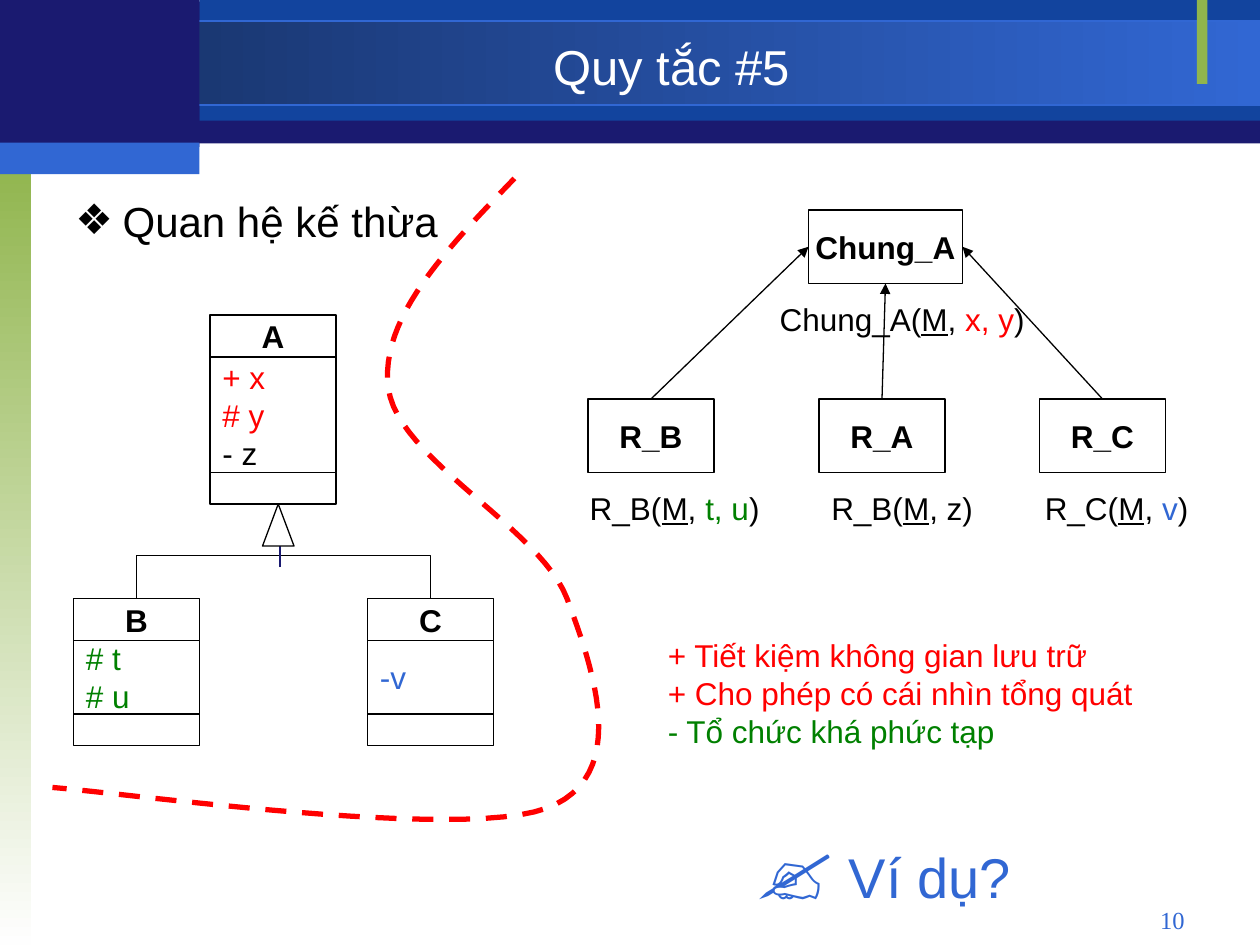
from lxml.etree import SubElement
from pptx import Presentation
from pptx.dml.color import RGBColor
from pptx.enum.dml import MSO_LINE
from pptx.enum.shapes import MSO_CONNECTOR, MSO_SHAPE
from pptx.enum.text import MSO_ANCHOR, MSO_AUTO_SIZE, PP_ALIGN
from pptx.oxml.ns import qn
from pptx.util import Pt

COLORS = {
    "black": "000000", "white": "FFFFFF", "fade": "FEFEFE", "navy": "1A1A70",
    "royal": "12449E", "blue": "3167D3", "deep": "162F61", "lime": "90B54D",
    "red": "FF0000", "green": "008000",
}
LEFT, CENTER, RIGHT = PP_ALIGN.LEFT, PP_ALIGN.CENTER, PP_ALIGN.RIGHT


def rgb(name):
    """Return the named colour."""
    return RGBColor.from_string(COLORS[name])


def write(tf, paras, size=18, color="black", bold=None, font="Arial",
          align=LEFT, anchor=MSO_ANCHOR.TOP, wrap=False):
    """Fill a frame with paragraphs, each a list of (text, overrides) runs."""
    tf.word_wrap, tf.vertical_anchor = wrap, anchor
    for i, runs in enumerate(paras):
        p = tf.add_paragraph() if i else tf.paragraphs[0]
        p.alignment = align
        for text, fmt in runs:
            r = p.add_run()
            r.text = text
            r.font.name, r.font.bold = font, bold
            r.font.size = Pt(fmt.get("size", size))
            r.font.underline = fmt.get("underline")
            r.font.color.rgb = rgb(fmt.get("color", color))


def relation(name, attrs, color="black"):
    """Return the runs of a relation with its key M underlined."""
    return [(name + "(", {}), ("M", {"underline": True}), (", ", {}),
            (attrs, {"color": color}), (")", {})]


def bezier(p0, p1, p2, p3, steps=24):
    """Return points along a cubic curve, without its first point."""
    ts = [i / steps for i in range(1, steps + 1)]
    return [tuple((1 - t) ** 3 * a + 3 * t * (1 - t) ** 2 * b
                  + 3 * t * t * (1 - t) * c + t ** 3 * d
                  for a, b, c, d in zip(p0, p1, p2, p3)) for t in ts]


class Deck:
    """Hold the style and the current slide."""

    line_width = 0.75

    def __init__(self, prs):
        """Add a blank slide to the presentation."""
        self.s = prs.slides.add_slide(prs.slide_layouts[6])

    def shape(self, x, y, w, h, fill="white", line=None, kind=MSO_SHAPE.RECTANGLE):
        """Add a preset shape with a solid fill."""
        sp = self.s.shapes.add_shape(kind, Pt(x), Pt(y), Pt(w), Pt(h))
        sp.shadow.inherit = False
        sp.fill.solid()
        sp.fill.fore_color.rgb = rgb(fill)
        self.outline(sp, line)
        return sp

    def outline(self, sp, color, width=line_width):
        """Set or remove the line of a shape."""
        if color is None:
            sp.line.fill.background()
        else:
            sp.line.color.rgb = rgb(color)
            sp.line.width = Pt(width)

    def gradient(self, x, y, w, h, stops, angle, line=None):
        """Add a rectangle with a two-colour gradient."""
        sp = self.shape(x, y, w, h, line=line)
        sp.fill.gradient()
        sp.fill.gradient_angle = angle
        for i, (stop, name) in enumerate(zip(sp.fill.gradient_stops, stops)):
            stop.position, stop.color.rgb = i, rgb(name)

    def box(self, x, y, w, h, paras=(), **fmt):
        """Add an outlined box with middle-anchored text."""
        sp = self.shape(x, y, w, h, line="black")
        write(sp.text_frame, paras, anchor=MSO_ANCHOR.MIDDLE, **fmt)

    def label(self, x, y, w, h, paras, **fmt):
        """Add a text box, fitted to its text unless it wraps."""
        tf = self.s.shapes.add_textbox(Pt(x), Pt(y), Pt(w), Pt(h)).text_frame
        write(tf, paras, **fmt)
        if not tf.word_wrap:
            tf.auto_size = MSO_AUTO_SIZE.SHAPE_TO_FIT_TEXT
        return tf

    def uml_class(self, x, y, name, members, body):
        """Add a class box with name, members and an empty operations row."""
        self.box(x, y, 72, 24, [[(name, {})]], bold=True, align=CENTER)
        self.box(x, y + 24, 72, body, [[m] for m in members])
        self.box(x, y + 24 + body, 72, 18)

    def line(self, x1, y1, x2, y2, color="black", arrow=False):
        """Add a straight connector, optionally with an arrowhead."""
        c = self.s.shapes.add_connector(
            MSO_CONNECTOR.STRAIGHT, Pt(x1), Pt(y1), Pt(x2), Pt(y2))
        self.outline(c, color)
        if arrow:
            SubElement(c.line._get_or_add_ln(), qn("a:tailEnd"), type="triangle")
        SubElement(c._element.spPr, qn("a:effectLst"))

    def outline_path(self, points, color="black", width=line_width):
        """Add an open, unfilled path through the points."""
        (x, y), *rest = [(Pt(a), Pt(b)) for a, b in points]
        fb = self.s.shapes.build_freeform(x, y)
        fb.add_line_segments(rest, close=False)
        sp = fb.convert_to_shape()
        sp.shadow.inherit = False
        sp.fill.background()
        self.outline(sp, color, width)
        return sp


def frame(d):
    """Draw the banner, side bar, title and page number."""
    d.shape(0, 1, 720, 81, "navy")
    d.shape(114, 0, 606, 69, "royal")
    d.gradient(0, 12, 720, 48, ("blue", "deep"), 180, line="blue")
    d.gradient(0, 90, 18, 450, ("lime", "fade"), 270)
    d.shape(684, 0, 6, 48, "lime")
    d.shape(0, 0, 114, 84, "navy")
    d.shape(0, 81.5, 114, 18, "blue")
    d.label(114, 16.5, 540, 42, [[("Quy tắc #5", {})]], size=28, color="white",
            align=CENTER, anchor=MSO_ANCHOR.MIDDLE, wrap=True)
    d.label(516, 513.5, 168, 19.5, [[("10", {})]], size=14, color="blue",
            font="Times New Roman", align=RIGHT, wrap=True)


def class_diagram(d):
    """Draw the heading, the inheritance tree and the dashed divider."""
    tf = d.label(36, 108, 648, 396, [[("Quan hệ kế thừa", {})]], size=24, wrap=True)
    p = tf.paragraphs[0]
    p.space_before = Pt(6)
    pPr = p._p.get_or_add_pPr()
    pPr.set("marL", str(Pt(27)))
    pPr.set("indent", str(-Pt(27)))
    SubElement(pPr, qn("a:buFont"), typeface="Arial")
    SubElement(pPr, qn("a:buChar"), char="❖")

    red, green, blue = ({"color": c} for c in ("red", "green", "blue"))
    d.uml_class(120, 180, "A", [("+ x", red), ("# y", red), ("- z", {})], 66)
    d.uml_class(42, 342, "B", [("# t", green), ("# u", green)], 42)
    d.uml_class(210, 342, "C", [("-v", blue)], 42)
    d.outline_path([(78, 342), (78, 317.5), (246, 317.5), (246, 342)])
    d.line(160, 324, 160, 306, "navy")
    d.shape(150, 288, 18, 24, line="black", kind=MSO_SHAPE.ISOSCELES_TRIANGLE)

    knots = [(294, 102), (255.5, 142), (216.5, 182), (222, 222),
             (227, 262), (309, 302), (324, 342),
             (339, 382), (361, 444), (312, 462),
             (263, 480), (78, 454), (30, 450)]
    points = knots[:1]
    for i in range(0, len(knots) - 1, 3):
        points += bezier(*knots[i:i + 4])
    d.outline_path(points, "red", 3).line.dash_style = MSO_LINE.DASH


def relations(d):
    """Draw the relation tree with its schemas."""
    d.box(462, 120, 88, 42, [[("Chung_A", {})]], bold=True, align=CENTER)
    for x, name in ((336, "R_B"), (468, "R_A"), (594, "R_C")):
        d.box(x, 228, 72, 42, [[(name, {})]], bold=True, align=CENTER)
    for x, y, w, schema in (
            (437, 168, 157, relation("Chung_A", "x, y", "red")),
            (328.5, 276, 114, relation("R_B", "t, u", "green")),
            (466.5, 276, 98, relation("R_B", "z")),
            (588.5, 276, 99, relation("R_C", "v", "blue"))):
        d.label(x, y, w, 29, [schema], align=CENTER)
    for x1, x2, y2 in ((372, 462, 141), (504, 506, 162), (630, 550, 141)):
        d.line(x1, 228, x2, y2, arrow=True)


def remarks(d):
    """Write the pros, the con and the closing question."""
    d.label(374.5, 360, 280, 72, [
        [("+ Tiết kiệm không gian lưu trữ", {})],
        [("+ Cho phép có cái nhìn tổng quát", {})],
        [("- Tổ chức khá phức tạp", {"color": "green"})]], color="red")
    d.label(425.5, 462, 160.5, 65,
            [[("✍", {"size": 48}), (" Ví dụ?", {})]], size=32, color="blue")


def main():
    """Build and save the slide."""
    prs = Presentation()
    prs.slide_width, prs.slide_height = Pt(720), Pt(540)
    d = Deck(prs)
    for part in (frame, class_diagram, relations, remarks):
        part(d)
    prs.save("out.pptx")


if __name__ == "__main__":
    main()
